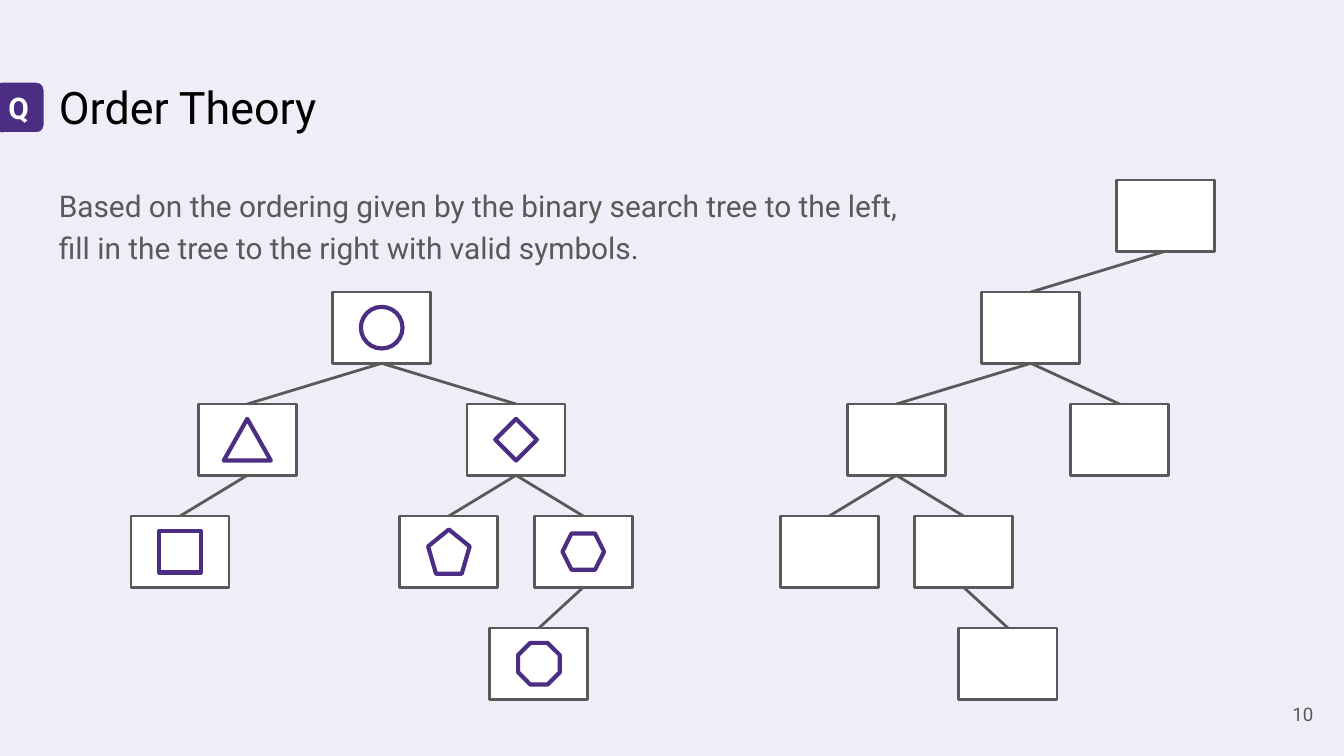
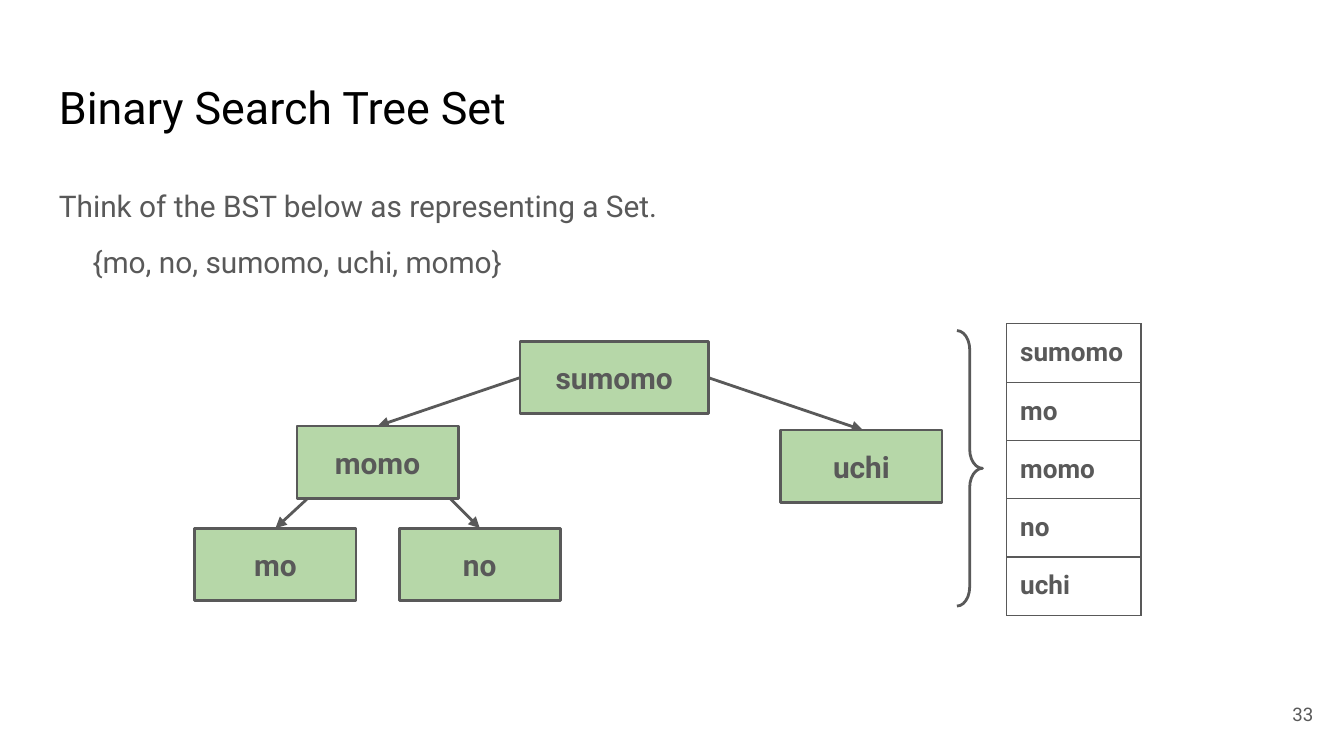
from lxml.etree import SubElement
from pptx import Presentation
from pptx.dml.color import RGBColor
from pptx.enum.shapes import MSO_CONNECTOR, MSO_SHAPE
from pptx.enum.text import MSO_ANCHOR, PP_ALIGN
from pptx.oxml.ns import qn
from pptx.util import Inches, Pt

FONT = "Roboto"
WHITE, BLACK, GRAY = "FFFFFF", "000000", "595959"
PURPLE, LAVENDER, GREEN = "4B2E83", "F0ECF8", "B6D7A8"

NODE_WIDTH, NODE_HEIGHT = 0.73, 0.53
TREE_TOP, LEVEL_PITCH = 1.34, 2.5 / 3

# Each node: horizontal centre, level, parent index, symbol, symbol width, symbol height
SYMBOL_TREE = [
    (2.84, 1, None, MSO_SHAPE.OVAL, 0.31, 0.31),
    (1.84, 2, 0, MSO_SHAPE.ISOSCELES_TRIANGLE, 0.35, 0.31),
    (3.84, 2, 0, MSO_SHAPE.DIAMOND, 0.31, 0.31),
    (1.34, 3, 1, MSO_SHAPE.RECTANGLE, 0.31, 0.31),
    (3.34, 3, 2, MSO_SHAPE.REGULAR_PENTAGON, 0.31, 0.33),
    (4.34, 3, 2, MSO_SHAPE.HEXAGON, 0.31, 0.27),
    (4.01, 4, 5, MSO_SHAPE.OCTAGON, 0.31, 0.31),
]
# Each node: horizontal centre, level, parent index
EMPTY_TREE = [
    (8.67, 0, None),
    (7.67, 1, 0),
    (6.67, 2, 1),
    (8.33, 2, 1),
    (6.17, 3, 2),
    (7.17, 3, 2),
    (7.5, 4, 5),
]


def color(hex_string):
    return RGBColor.from_string(hex_string)


class Deck:
    """Holds the shared style and the slide being built."""

    def __init__(self):
        self.presentation = Presentation()
        self.presentation.slide_width = Inches(10)
        self.presentation.slide_height = Inches(10 * 9 / 16)
        self.slide = None

    def start_slide(self, title, number, background=WHITE):
        layout = self.presentation.slide_layouts[6]
        self.slide = self.presentation.slides.add_slide(layout)
        self.slide.background.fill.solid()
        self.slide.background.fill.fore_color.rgb = color(background)
        frame = self.text_box(0.34, 0.49, 9.32, 0.63)
        self.add_text(frame.paragraphs[0], title, 24, BLACK)
        frame = self.text_box(9.27, 5.1, 0.6, 0.43)
        frame.vertical_anchor = MSO_ANCHOR.MIDDLE
        frame.paragraphs[0].alignment = PP_ALIGN.RIGHT
        self.add_text(frame.paragraphs[0], str(number), 10)

    def set_margins(self, target):
        target.margin_left = target.margin_right = Inches(0.1)
        target.margin_top = target.margin_bottom = Inches(0.1)

    def text_box(self, left, top, width, height):
        box = self.slide.shapes.add_textbox(
            Inches(left), Inches(top), Inches(width), Inches(height))
        frame = box.text_frame
        frame.word_wrap = True
        self.set_margins(frame)
        return frame

    def add_text(self, paragraph, text, size, text_color=GRAY, bold=False):
        run = paragraph.add_run()
        run.text = text
        run.font.name = FONT
        run.font.size = Pt(size)
        run.font.bold = bold
        run.font.color.rgb = color(text_color)

    def body(self, height):
        """Adds the body box and returns its first paragraph and frame."""
        frame = self.text_box(0.34, 1.26, 9.32, height)
        frame.paragraphs[0].line_spacing = 1.15
        return frame.paragraphs[0], frame

    def shape(self, kind, left, top, width, height, fill=WHITE, line=GRAY, weight=1.5):
        shape = self.slide.shapes.add_shape(
            kind, Inches(left), Inches(top), Inches(width), Inches(height))
        shape.shadow.inherit = False
        if fill:
            shape.fill.solid()
            shape.fill.fore_color.rgb = color(fill)
        else:
            shape.fill.background()
        shape.line.color.rgb = color(line)
        shape.line.width = Pt(weight)
        SubElement(shape.line._get_or_add_ln(), qn("a:round"))
        return shape

    def label(self, shape, text, text_color=GRAY):
        frame = shape.text_frame
        frame.word_wrap = True
        frame.vertical_anchor = MSO_ANCHOR.MIDDLE
        self.set_margins(frame)
        frame.paragraphs[0].alignment = PP_ALIGN.CENTER
        self.add_text(frame.paragraphs[0], text, 16, text_color, bold=True)

    def line(self, start, end, arrow=False):
        connector = self.slide.shapes.add_connector(
            MSO_CONNECTOR.STRAIGHT, *(Inches(value) for value in (*start, *end)))
        connector.line.color.rgb = color(GRAY)
        connector.line.width = Pt(1.5)
        if arrow:
            SubElement(connector.line._get_or_add_ln(), qn("a:tailEnd"), type="triangle")
        SubElement(connector._element.spPr, qn("a:effectLst"))

    def tree(self, nodes):
        def top(level):
            return TREE_TOP + level * LEVEL_PITCH

        for center, level, parent, *_ in nodes:
            if parent is not None:
                parent_center, parent_level = nodes[parent][:2]
                self.line((parent_center, top(parent_level) + NODE_HEIGHT),
                          (center, top(level)))
        for center, level, _, *symbol in nodes:
            self.shape(MSO_SHAPE.RECTANGLE, center - NODE_WIDTH / 2, top(level),
                       NODE_WIDTH, NODE_HEIGHT)
            if symbol:
                kind, width, height = symbol
                self.shape(kind, center - width / 2, top(level) + (NODE_HEIGHT - height) / 2,
                           width, height, line=PURPLE, weight=2.25)

    def column_table(self, words, left, top, width, row_height):
        table = self.slide.shapes.add_table(
            len(words), 1, Inches(left), Inches(top), Inches(width),
            Inches(row_height * len(words))).table
        table.first_row = table.horz_banding = False
        for row, word in enumerate(words):
            cell = table.cell(row, 0)
            self.set_margins(cell)
            self.add_text(cell.text_frame.paragraphs[0], word, 14, bold=True)
            self.border(cell)
            cell.fill.background()

    def border(self, cell):
        properties = cell._tc.get_or_add_tcPr()
        for side in ("lnL", "lnR", "lnT", "lnB"):
            edge = SubElement(properties, qn(f"a:{side}"), w=str(Pt(0.75)))
            SubElement(SubElement(edge, qn("a:solidFill")), qn("a:srgbClr"), val=GRAY)


def order_theory(deck):
    deck.start_slide("Order Theory", 10, LAVENDER)
    paragraph, _ = deck.body(0.75)
    paragraph.space_after = Pt(8)
    deck.add_text(
        paragraph, "Based on the ordering given by the binary search tree to the left,", 16)
    paragraph.add_line_break()
    deck.add_text(paragraph, "fill in the tree to the right with valid symbols.", 16)
    badge = deck.shape(MSO_SHAPE.ROUNDED_RECTANGLE, -0.06, 0.6, 0.4, 0.4,
                       PURPLE, LAVENDER, 2.25)
    deck.label(badge, "Q", WHITE)
    deck.tree(SYMBOL_TREE)
    deck.tree(EMPTY_TREE)


def binary_search_tree_set(deck):
    deck.start_slide("Binary Search Tree Set", 33)
    paragraph, frame = deck.body(0.9)
    deck.add_text(paragraph, "Think of the BST below as representing a Set.", 16)
    members = frame.add_paragraph()
    members.line_spacing = 1.15
    members.space_before = members.space_after = Pt(8)
    members._p.get_or_add_pPr().set("marL", str(Inches(0.25)))
    deck.add_text(members, "{mo, no, sumomo, uchi, momo}", 16)

    for start, end in [
        ((2.45, 3.56), (2.05, 3.93)),
        ((3.26, 3.62), (3.57, 3.93)),
        ((3.87, 2.81), (2.81, 3.17)),
        ((5.27, 2.81), (6.42, 3.2)),
    ]:
        deck.line(start, end, arrow=True)
    for word, left, top, width in [
        ("sumomo", 3.87, 2.54, 1.4),
        ("momo", 2.21, 3.17, 1.2),
        ("mo", 1.45, 3.93, 1.2),
        ("no", 2.97, 3.93, 1.2),
        ("uchi", 5.81, 3.2, 1.2),
    ]:
        deck.label(deck.shape(MSO_SHAPE.RECTANGLE, left, top, width, 0.54, GREEN), word)

    deck.column_table(["sumomo", "mo", "momo", "no", "uchi"], 7.49, 2.41, 1, 0.43)
    brace = deck.shape(MSO_SHAPE.RIGHT_BRACE, 7.12, 2.46, 0.19, 2.05, fill=None)
    brace.adjustments[0] = 0.75


def main():
    deck = Deck()
    order_theory(deck)
    binary_search_tree_set(deck)
    deck.presentation.save("out.pptx")


if __name__ == "__main__":
    main()
